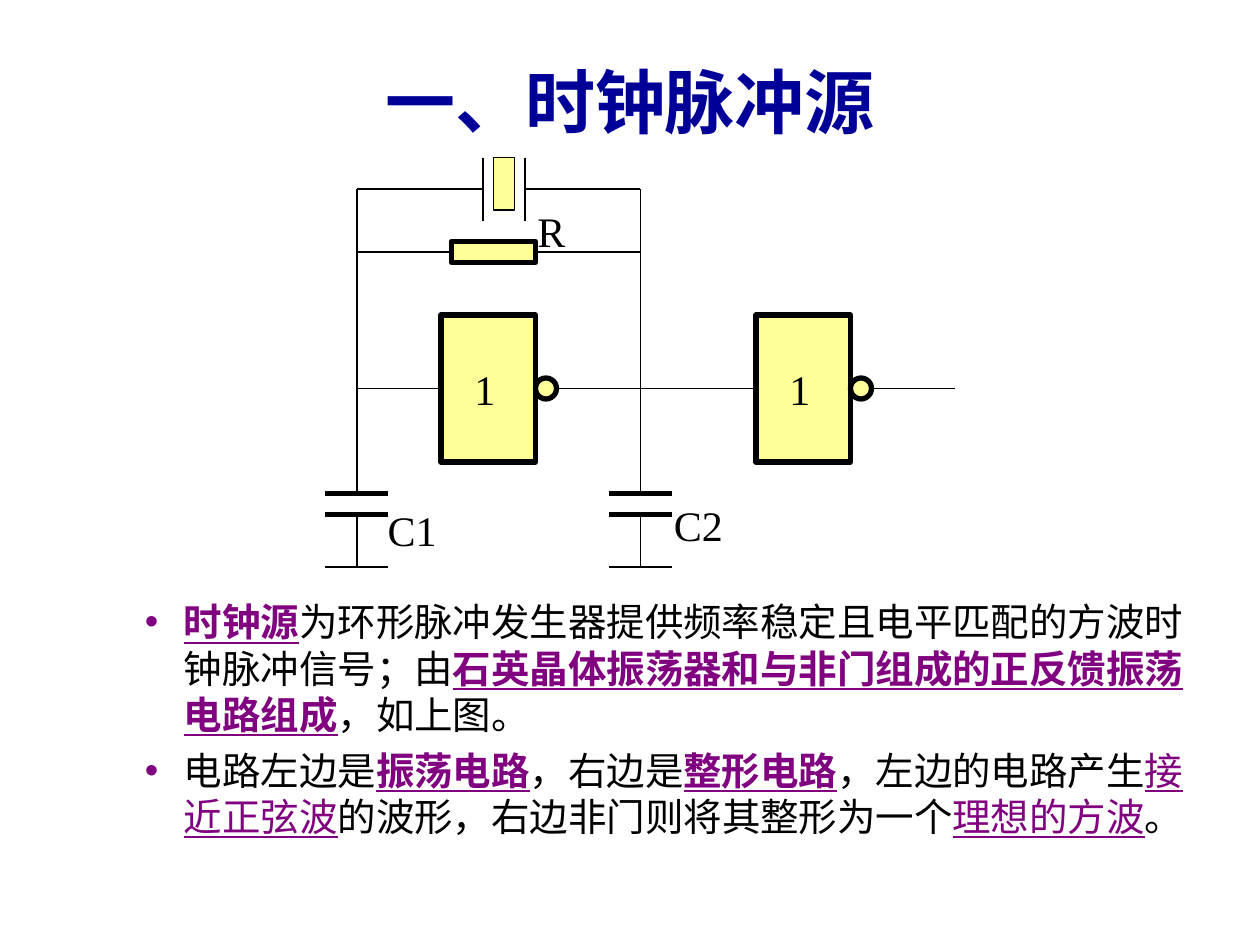
"""Build the slide on the clock pulse source with its circuit and notes."""
from dataclasses import dataclass
from typing import NamedTuple

from lxml.etree import SubElement
from pptx import Presentation
from pptx.dml.color import RGBColor
from pptx.enum.shapes import MSO_CONNECTOR, MSO_SHAPE
from pptx.enum.text import MSO_ANCHOR, MSO_AUTO_SIZE, PP_ALIGN
from pptx.oxml.ns import qn
from pptx.util import Inches, Pt


@dataclass(frozen=True)
class Theme:
    """Colours, fonts and sizes."""
    ink: RGBColor = RGBColor(0, 0, 0)
    navy: RGBColor = RGBColor(0x00, 0x00, 0x99)
    plum: RGBColor = RGBColor(0x80, 0x00, 0x80)
    cream: RGBColor = RGBColor(0xFF, 0xFF, 0x99)
    serif: str = "Times New Roman"
    sans: str = "Arial"
    head: int = 40
    body: int = 22
    label: int = 24
    thin: int = 1
    thick: int = 3


class Part(NamedTuple):
    """A filled outline in grid units."""
    kind: MSO_SHAPE
    x: float
    y: float
    w: float
    h: float
    line: int


class Wire(NamedTuple):
    """A straight line in grid units."""
    x1: float
    y1: float
    x2: float
    y2: float
    line: int = 1


class Label(NamedTuple):
    """A short caption in grid units."""
    text: str
    x: float
    y: float
    w: float


class Span(NamedTuple):
    """A run of text and its emphasis."""
    text: str
    mark: bool = False
    bold: bool = False


THEME = Theme()
LEFT, RIGHT = 1, 3
COLS = (34, 61)
GATES = (42, 72)
LABELS = (
    Label("1", 44, 34, 5), Label("1", 74, 34, 5), Label("R", 50, 19, 5.5),
    Label("C1", 35.75, 47.5, 7.2), Label("C2", 63, 47, 7.2),
)
NOTES = (
    (
        Span("时钟源", True, True),
        Span("为环形脉冲发生器提供频率稳定且电平匹配的方波时钟脉冲信号；由"),
        Span("石英晶体振荡器和与非门组成的正反馈振荡电路组成", True, True),
        Span("，如上图。"),
    ),
    (
        Span("电路左边是"), Span("振荡电路", True, True),
        Span("，右边是"), Span("整形电路", True, True),
        Span("，左边的电路产生"), Span("接近正弦波", True),
        Span("的波形，右边非门则将其整形为一个"),
        Span("理想的方波", True), Span("。"),
    ),
)


def grid(n: float) -> int:
    """Turn grid units, twelve to the inch, into a length."""
    return Inches(n / 12)


def style(font, name: str, size: int, tint: RGBColor, bold: bool = False) -> None:
    """Set the look of a font."""
    font.name, font.size, font.bold = name, Pt(size), bold
    font.color.rgb = tint


def place(shape, x: float, y: float, w: float, h: float) -> None:
    """Move and size a placeholder in inches."""
    shape.left, shape.top = Inches(x), Inches(y)
    shape.width, shape.height = Inches(w), Inches(h)
    shape.text_frame.auto_size = MSO_AUTO_SIZE.NONE


def draw_part(group, part: Part):
    """Draw a filled outline."""
    shape = group.shapes.add_shape(part.kind, *map(grid, part[1:5]))
    shape.shadow.inherit = False
    shape.fill.solid()
    shape.fill.fore_color.rgb = THEME.cream
    shape.line.color.rgb = THEME.ink
    shape.line.width = Pt(part.line)
    return shape


def draw_wire(group, wire: Wire, start=None, end=None) -> None:
    """Draw a line, joined to the right of start and the left of end."""
    link = group.shapes.add_connector(MSO_CONNECTOR.STRAIGHT, *map(grid, wire[:4]))
    link.line.color.rgb = THEME.ink
    link.line.width = Pt(wire.line)
    SubElement(link._element.spPr, qn("a:effectLst"))
    if start is not None:
        link.begin_connect(start, RIGHT)
    if end is not None:
        link.end_connect(end, LEFT)


def draw_label(group, label: Label) -> None:
    """Draw a caption."""
    box = group.shapes.add_textbox(grid(label.x), grid(label.y), grid(label.w), grid(6))
    frame = box.text_frame
    frame.word_wrap = True
    frame.text = label.text
    style(frame.paragraphs[0].runs[0].font, THEME.serif, THEME.label, THEME.ink)


def draw_gate(group, x: float):
    """Draw an inverter and return its box."""
    box = draw_part(group, Part(MSO_SHAPE.RECTANGLE, x, 30, 9, 14, THEME.thick))
    draw_part(group, Part(MSO_SHAPE.OVAL, x + 9, 36, 2, 2, THEME.thick))
    return box


def draw_column(group, x: float) -> None:
    """Draw an upright wire with its capacitor and ground."""
    draw_wire(group, Wire(x, 18, x, 47))
    draw_wire(group, Wire(x, 49, x, 54))
    for y, line in ((47, THEME.thick), (49, THEME.thick), (54, THEME.thin)):
        draw_wire(group, Wire(x - 3, y, x + 3, y, line))


def draw_circuit(group) -> None:
    """Draw the oscillator and the shaping gate."""
    west, east = COLS
    for x in COLS:
        draw_column(group, x)
    draw_part(group, Part(MSO_SHAPE.RECTANGLE, 47, 15, 2, 5, THEME.thin))
    for x, side in ((46, west), (50, east)):
        draw_wire(group, Wire(x, 15, x, 21))
        draw_wire(group, Wire(side, 18, x, 18))
    coil = draw_part(group, Part(MSO_SHAPE.RECTANGLE, 43, 23, 7, 2, THEME.thick)._replace(w=8))
    draw_wire(group, Wire(west, 24, 43, 24), end=coil)
    draw_wire(group, Wire(51, 24, east, 24), start=coil)
    first, last = (draw_gate(group, x) for x in GATES)
    draw_wire(group, Wire(west, 37, 42, 37), end=first)
    draw_wire(group, Wire(53, 37, east, 37))
    draw_wire(group, Wire(east, 37, 72, 37), end=last)
    draw_wire(group, Wire(83, 37, 91, 37))
    for label in LABELS:
        draw_label(group, label)


def write_notes(frame) -> None:
    """Fill the list."""
    frame.vertical_anchor = MSO_ANCHOR.TOP
    for i, spans in enumerate(NOTES):
        para = frame.add_paragraph() if i else frame.paragraphs[0]
        para.space_before = Pt(5.5 if i else 0)
        props = para._p.get_or_add_pPr()
        props.set("marL", str(Inches(0.81)))
        props.set("indent", str(Inches(-0.31)))
        tint = SubElement(props, qn("a:buClr"))
        SubElement(tint, qn("a:srgbClr"), val=str(THEME.plum))
        SubElement(props, qn("a:buChar"), char="•")
        for span in spans:
            run = para.add_run()
            run.text = span.text
            shade = THEME.plum if span.mark else THEME.ink
            style(run.font, THEME.sans, THEME.body, shade, span.bold)
            run.font.underline = span.mark


def main() -> None:
    """Build and save the slide."""
    deck = Presentation()
    deck.slide_width, deck.slide_height = Inches(10), Inches(7.5)
    slide = deck.slides.add_slide(deck.slide_layouts[1])
    title, body = slide.shapes.title, slide.placeholders[1]
    place(title, 0.33, 0.42, 9.34, 0.76)
    title.text_frame.text = "一、时钟脉冲源"
    head = title.text_frame.paragraphs[0]
    head.alignment = PP_ALIGN.CENTER
    style(head.runs[0].font, THEME.serif, THEME.head, THEME.navy, True)
    place(body, 0.55, 4.7, 9.06, 2.17)
    write_notes(body.text_frame)
    draw_circuit(slide.shapes.add_group_shape())
    deck.save("out.pptx")


if __name__ == "__main__":
    main()
